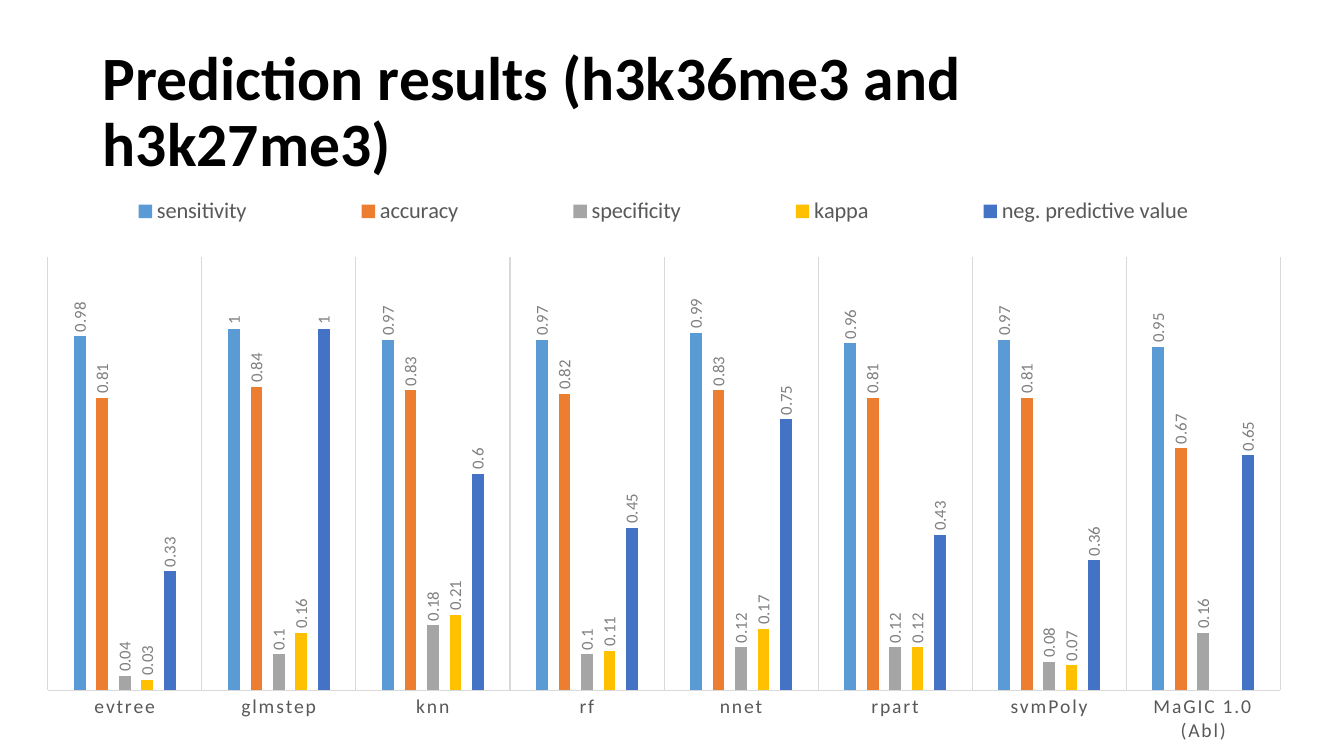
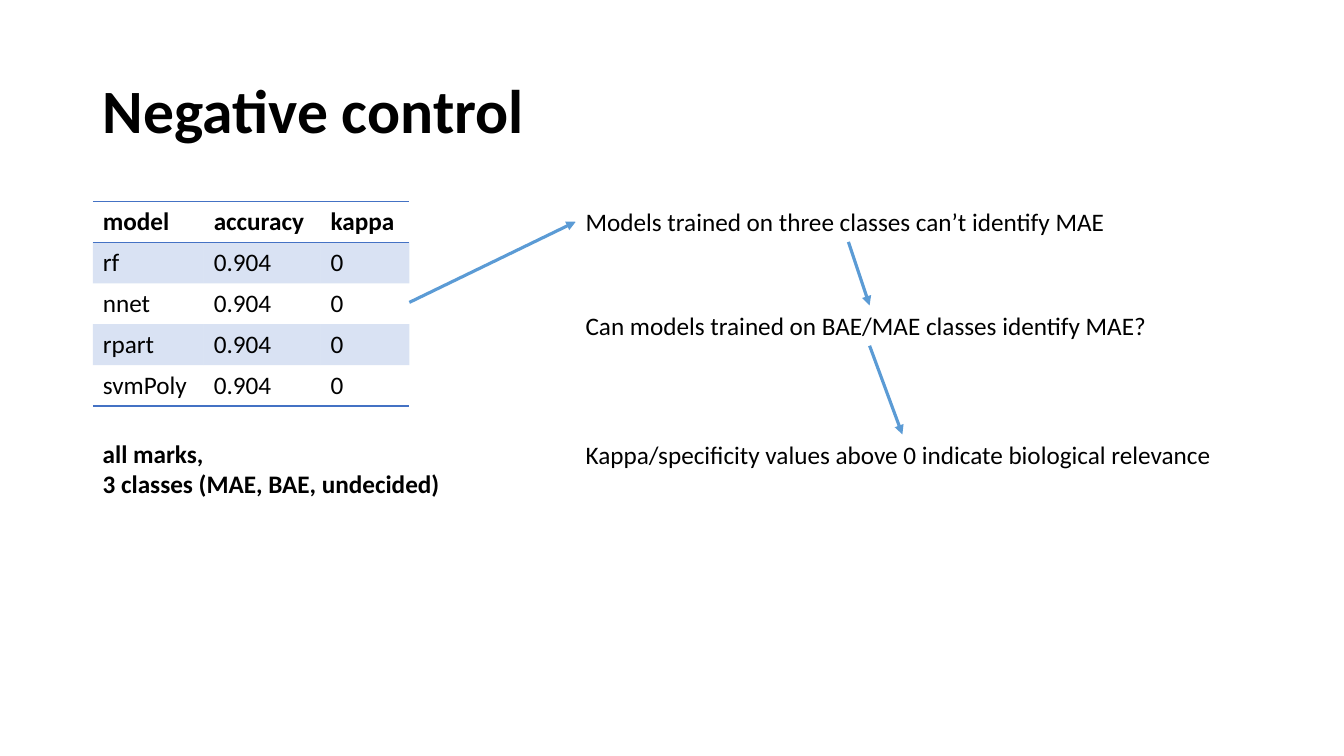
import lxml.etree
import pptx
import pptx.chart.data
import pptx.dml.color
import pptx.enum.chart
import pptx.enum.shapes
import pptx.enum.text
import pptx.oxml.ns
import pptx.util

Inches = pptx.util.Inches
Pt = pptx.util.Pt
RGBColor = pptx.dml.color.RGBColor
qn = pptx.oxml.ns.qn

BLACK = RGBColor(0x00, 0x00, 0x00)
DARK_GRAY = RGBColor(0x59, 0x59, 0x59)
MID_GRAY = RGBColor(0x80, 0x80, 0x80)
PALE_GRAY = RGBColor(0xD9, 0xD9, 0xD9)
LIGHT_BLUE = RGBColor(0x5B, 0x9B, 0xD5)
ORANGE = RGBColor(0xED, 0x7D, 0x31)
GRAY = RGBColor(0xA5, 0xA5, 0xA5)
YELLOW = RGBColor(0xFF, 0xC0, 0x00)
BLUE = RGBColor(0x44, 0x72, 0xC4)

FONT = "Calibri"
NO_STYLE = "{2D5ABB26-0587-4C30-8999-92F81FD0307C}"
TITLE = {"size": Pt(44), "bold": True}
BODY = {"size": Pt(18), "bold": False}
STRONG = {"size": Pt(18), "bold": True}

MODELS = ["evtree", "glmstep", "knn", "rf", "nnet", "rpart", "svmPoly", "MaGIC 1.0 (Abl)"]
METRICS = [
    ("sensitivity", LIGHT_BLUE, [0.98, 1, 0.97, 0.97, 0.99, 0.96, 0.97, 0.95]),
    ("accuracy", ORANGE, [0.81, 0.84, 0.83, 0.82, 0.83, 0.81, 0.81, 0.67]),
    ("specificity", GRAY, [0.04, 0.1, 0.18, 0.1, 0.12, 0.12, 0.08, 0.16]),
    ("kappa", YELLOW, [0.03, 0.16, 0.21, 0.11, 0.17, 0.12, 0.07, None]),
    ("neg. predictive value", BLUE, [0.33, 1, 0.6, 0.45, 0.75, 0.43, 0.36, 0.65]),
]
CONTROL_ROWS = [["model", "accuracy", "kappa"]] + [
    [model, "0.904", "0"] for model in ["rf", "nnet", "rpart", "svmPoly"]
]
FINDINGS = [
    ("Models trained on three classes can’t identify MAE", 2, 5.41),
    ("Can models trained on BAE/MAE classes identify MAE?", 3.03, 5.83),
    ("Kappa/specificity values above 0 indicate biological relevance", 4.31, 6.48),
]


def set_values(obj, values):
    for name, value in values.items():
        setattr(obj, name, value)


def set_font(font, values, color=BLACK):
    set_values(font, {"name": FONT, **values})
    font.color.rgb = color


def set_line(line, color, width):
    line.color.rgb = color
    line.width = Pt(width)


def add_xml(parent, tag, **attrs):
    return lxml.etree.SubElement(parent, qn(tag), attrs)


def set_layout(parent, index, box, inner=False):
    for old in parent.findall(qn("c:layout")):
        parent.remove(old)
    layout = parent.makeelement(qn("c:layout"), {})
    parent.insert(index, layout)
    manual = add_xml(layout, "c:manualLayout")
    if inner:
        add_xml(manual, "c:layoutTarget", val="inner")
    for mode in ("xMode", "yMode"):
        add_xml(manual, "c:" + mode, val="edge")
    for name, value in zip("xywh", box):
        add_xml(manual, "c:" + name, val=str(value))


def add_titled_slide(prs, title):
    s = prs.slides.add_slide(prs.slide_layouts.get_by_name("Title Only"))
    sp = s.shapes.title
    set_values(sp, {"left": Inches(0.92), "top": Inches(0.4),
                    "width": Inches(11.5), "height": Inches(1.45)})
    tf = sp.text_frame
    tf.text = title
    set_values(tf, {"word_wrap": True,
                    "auto_size": pptx.enum.text.MSO_AUTO_SIZE.NONE,
                    "vertical_anchor": pptx.enum.text.MSO_ANCHOR.MIDDLE})
    p = tf.paragraphs[0]
    set_values(p, {"alignment": pptx.enum.text.PP_ALIGN.LEFT, "line_spacing": 0.9})
    set_font(p.font, TITLE)
    return s


def add_metrics_chart(s, left, top, width, height):
    data = pptx.chart.data.CategoryChartData()
    data.categories = MODELS
    for name, _, values in METRICS:
        data.add_series(name, values)
    chart = s.shapes.add_chart(
        pptx.enum.chart.XL_CHART_TYPE.COLUMN_CLUSTERED,
        Inches(left), Inches(top), Inches(width), Inches(height), data).chart
    chart.has_title = False
    set_font(chart.font, {"size": Pt(10)})

    chart.has_legend = True
    legend = chart.legend
    set_values(legend, {"position": pptx.enum.chart.XL_LEGEND_POSITION.TOP,
                        "include_in_layout": False})
    set_font(legend.font, {"size": Pt(16)}, DARK_GRAY)
    set_layout(legend._element, 1, (0.01, 0.07, 0.98, 0.08))
    set_layout(chart._chartSpace.chart.plotArea, 0, (0.023, 0.184, 0.955, 0.709), inner=True)

    set_values(chart.value_axis, {"minimum_scale": 0, "maximum_scale": 1.2,
                                  "has_major_gridlines": False, "visible": False})
    axis = chart.category_axis
    set_values(axis, {"has_major_gridlines": True,
                      "major_tick_mark": pptx.enum.chart.XL_TICK_MARK.NONE})
    for line in (axis.format.line, axis.major_gridlines.format.line):
        set_line(line, PALE_GRAY, 0.75)
    set_font(axis.tick_labels.font, {"size": Pt(14)}, DARK_GRAY)
    axis._element.xpath(".//a:defRPr")[0].set("spc", "120")

    plot = chart.plots[0]
    set_values(plot, {"gap_width": 444, "overlap": -90, "vary_by_categories": False})
    for series, (_, color, _) in zip(plot.series, METRICS):
        series.invert_if_negative = False
        series.format.fill.solid()
        series.format.fill.fore_color.rgb = color
        labels = series.data_labels
        set_values(labels, {"show_value": True, "number_format": "General",
                            "number_format_is_linked": False,
                            "position": pptx.enum.chart.XL_LABEL_POSITION.OUTSIDE_END})
        set_font(labels.font, {"size": Pt(12)}, MID_GRAY)
        body = labels._element.xpath(".//a:bodyPr")[0]
        body.set("rot", "-5400000")
        body.set("vert", "horz")


def add_border(cell, tag, index):
    tc_pr = cell._tc.get_or_add_tcPr()
    ln = tc_pr.makeelement(qn(tag), {"w": str(Pt(1))})
    tc_pr.insert(index, ln)
    add_xml(add_xml(ln, "a:solidFill"), "a:srgbClr", val=str(BLUE))


def add_control_table(s, left, top, widths, row_height):
    frame = s.shapes.add_table(
        len(CONTROL_ROWS), len(widths), Inches(left), Inches(top),
        Inches(sum(widths)), Inches(row_height * len(CONTROL_ROWS)))
    table = frame.table
    table._tbl.tblPr.find(qn("a:tableStyleId")).text = NO_STYLE
    for column, width in zip(table.columns, widths):
        column.width = Inches(width)
    for i, row in enumerate(CONTROL_ROWS):
        for j, text in enumerate(row):
            cell = table.cell(i, j)
            cell.text = text
            set_font(cell.text_frame.paragraphs[0].runs[0].font, BODY if i else STRONG)
            if i % 2:
                cell.fill.solid()
                cell.fill.fore_color.rgb = BLUE
                add_xml(cell._tc.tcPr.xpath(".//a:srgbClr")[0], "a:alpha", val="20000")
            else:
                cell.fill.background()
            if i in (0, len(CONTROL_ROWS) - 1):
                add_border(cell, "a:lnB", 0)
            if i == 0:
                add_border(cell, "a:lnT", 0)
    return frame


def add_note(s, lines, left, top, width, height, values):
    sp = s.shapes.add_textbox(Inches(left), Inches(top), Inches(width), Inches(height))
    tf = sp.text_frame
    set_values(tf, {"word_wrap": False,
                    "auto_size": pptx.enum.text.MSO_AUTO_SIZE.SHAPE_TO_FIT_TEXT})
    for i, line in enumerate(lines):
        p = tf.add_paragraph() if i else tf.paragraphs[0]
        r = p.add_run()
        r.text = line
        set_font(r.font, values)
    return sp


def add_arrow(s, start, start_side, end, end_side):
    arrow = s.shapes.add_connector(pptx.enum.shapes.MSO_CONNECTOR.STRAIGHT, 0, 0, 0, 0)
    arrow.begin_connect(start, start_side)
    arrow.end_connect(end, end_side)
    set_line(arrow.line, LIGHT_BLUE, 2.25)
    sp_pr = arrow._element.spPr
    add_xml(sp_pr.find(qn("a:ln")), "a:tailEnd", type="triangle")
    add_xml(sp_pr, "a:effectLst")


def add_findings(s, left, source):
    notes = [add_note(s, [text], left, top, width, 0.4, BODY)
             for text, top, width in FINDINGS]
    add_arrow(s, source, 3, notes[0], 1)
    for upper, lower in zip(notes, notes[1:]):
        add_arrow(s, upper, 2, lower, 0)


def build_results_slide(prs):
    s = add_titled_slide(prs, "Prediction results (h3k36me3 and h3k27me3)")
    add_metrics_chart(s, 0.18, 1.43, 12.8, 6.07)


def build_control_slide(prs):
    s = add_titled_slide(prs, "Negative control")
    frame = add_control_table(s, 0.92, 2, [1.1, 1.16, 0.88], 0.4)
    add_note(s, ["all marks,", "3 classes (MAE, BAE, undecided)"],
             0.92, 4.3, 3.57, 0.71, STRONG)
    add_findings(s, 5.71, frame)


def main():
    prs = pptx.Presentation()
    set_values(prs, {"slide_width": Inches(13.33), "slide_height": Inches(7.5)})
    build_results_slide(prs)
    build_control_slide(prs)
    prs.save("out.pptx")


if __name__ == "__main__":
    main()
